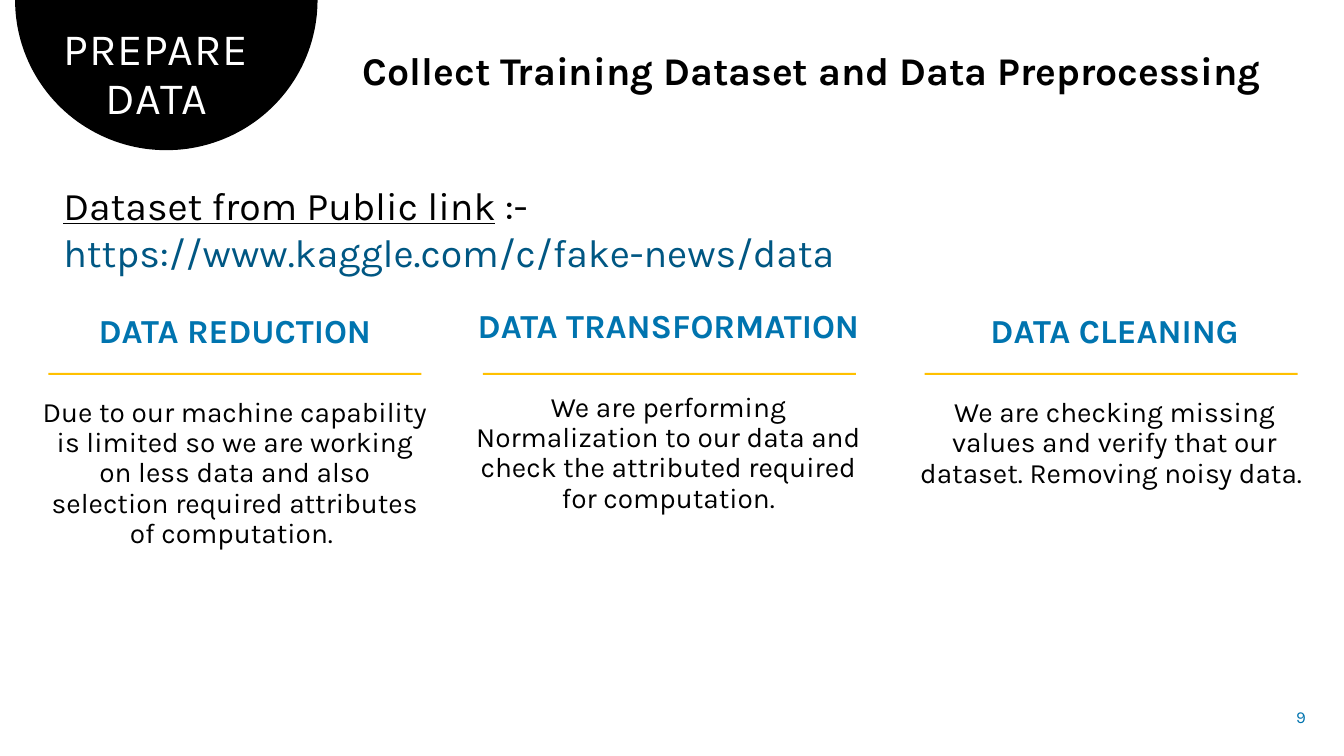
from math import cos, pi, sin

from pptx import Presentation
from pptx.dml.color import RGBColor
from pptx.enum.shapes import MSO_SHAPE
from pptx.enum.text import MSO_ANCHOR, PP_ALIGN
from pptx.util import Inches, Pt

BLACK, WHITE, BLUE, NAVY, GOLD = "000000", "FFFFFF", "0074AF", "005783", "FFC000"


def color(code):
    return RGBColor.from_string(code)


def apply(target, values):
    for name, value in values.items():
        setattr(target, name, value)


class Page:
    face = "Karla"

    def __init__(self, slide):
        self.slide = slide

    def paint(self, shape, code):
        shape.shadow.inherit = False
        shape.fill.solid()
        shape.fill.fore_color.rgb = color(code)
        shape.line.fill.background()

    def bowl(self, middle, wide, deep, code, steps=90):
        points = [
            (Inches(middle + wide * cos(pi * i / steps)), Inches(deep * sin(pi * i / steps)))
            for i in range(steps + 1)
        ]
        builder = self.slide.shapes.build_freeform(*points[0], scale=1.0)
        builder.add_line_segments(points[1:], close=True)
        self.paint(builder.convert_to_shape(), code)

    def rule(self, left, top, width, code):
        box = [Inches(n) for n in (left, top, width, 0.02)]
        self.paint(self.slide.shapes.add_shape(MSO_SHAPE.RECTANGLE, *box), code)

    def text(self, box, paras, anchor=MSO_ANCHOR.TOP):
        frame = self.slide.shapes.add_textbox(*[Inches(n) for n in box]).text_frame
        apply(frame, {"word_wrap": True, "vertical_anchor": anchor})
        for i, (layout, runs) in enumerate(paras):
            para = frame.add_paragraph() if i else frame.paragraphs[0]
            apply(para, layout)
            for words, size, code, style in runs:
                run = para.add_run()
                run.text = words
                apply(run.font, {"name": self.face, "size": Pt(size), **style})
                run.font.color.rgb = color(code)
        return frame


def main():
    deck = Presentation()
    apply(deck, {"slide_width": Inches(13.33), "slide_height": Inches(7.5)})
    page = Page(deck.slides.add_slide(deck.slide_layouts[6]))

    bold = {"bold": True}
    tight = {"line_spacing": 0.9}
    center = {"alignment": PP_ALIGN.CENTER, **tight}
    head = {**center, "space_after": Pt(24)}
    body = {**center, "space_before": Pt(10)}

    page.bowl(1.65, 1.5, 1.49, BLACK)
    title = page.text((0.25, 0.22, 2.6, 1.07), [(center, [("PREPARE DATA", 32, WHITE, {})])])
    title.paragraphs[0].runs[0].font._element.set("spc", "60")
    page.text(
        (3.5, 0.46, 9.83, 0.53),
        [(tight, [("Collect Training Dataset and Data Preprocessing", 28, BLACK, bold)])],
    )
    page.text(
        (0.53, 1.75, 12.2, 0.57),
        [({}, [
            ("Dataset from Public link", 28, BLACK, {"underline": True}),
            (" :- ", 28, BLACK, {}),
            ("https://www.kaggle.com/c/fake-news/data", 28, NAVY, {}),
        ])],
    )

    columns = [
        ((0.3, 3.07, 4.06, 2.46), 0.48, "DATA REDUCTION",
         "Due to our machine capability is limited so we are working on less data "
         "and also selection required attributes of computation. "),
        ((4.53, 3.02, 4.2, 2.15), 4.79, "DATA TRANSFORMATION",
         "We are performing Normalization to our data and check the attributed "
         "required for computation."),
        ((8.99, 3.07, 4.13, 1.85), 9.17, "DATA CLEANING",
         "We are checking missing values and verify that our dataset. "
         "Removing noisy data. "),
    ]
    for box, left, label, words in columns:
        page.text(box, [
            (head, [(label, 24, BLUE, bold)]),
            (body, [(words, 20, BLACK, {})]),
        ])
        page.rule(left, 3.7, 3.7, GOLD)

    page.text(
        (12.5, 6.91, 0.55, 0.4),
        [({"alignment": PP_ALIGN.RIGHT}, [("9", 12, BLUE, {})])],
        MSO_ANCHOR.MIDDLE,
    )
    deck.save("out.pptx")


if __name__ == "__main__":
    main()
